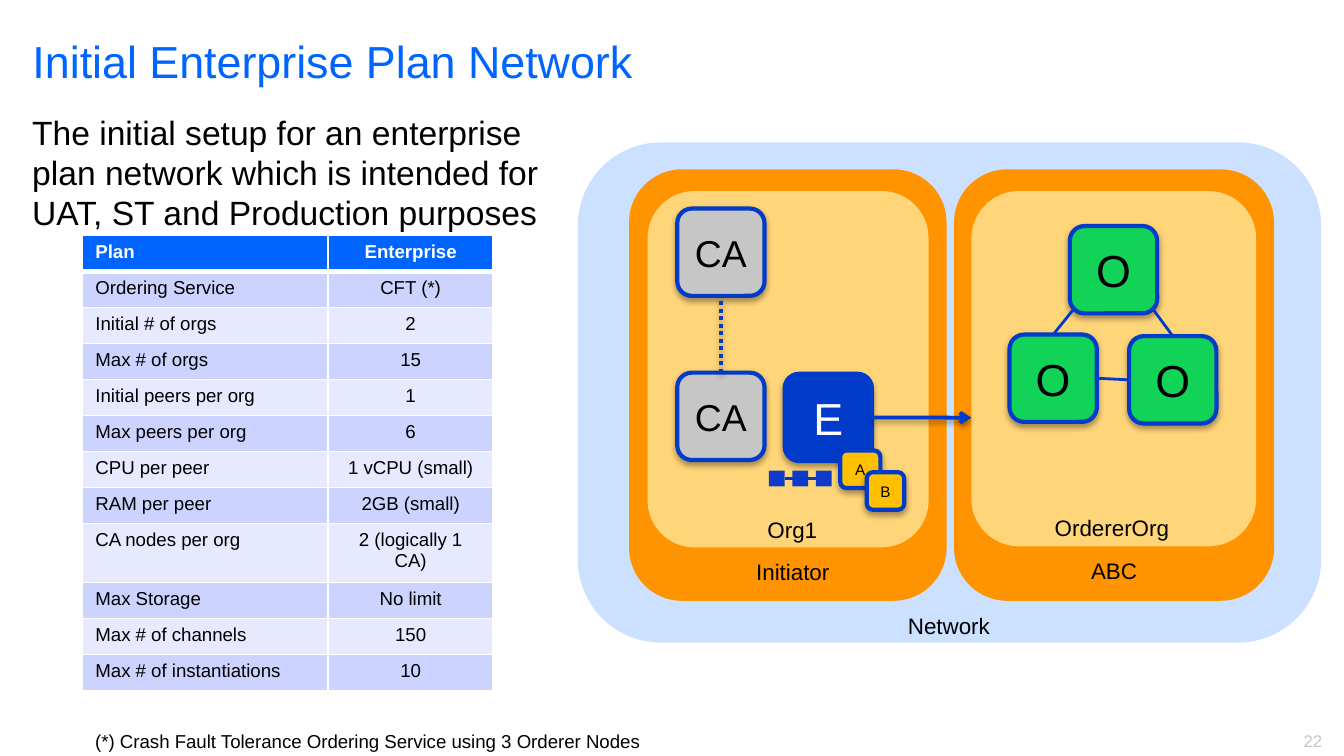
import pptx
import pptx.util
import pptx.dml.color
import pptx.enum.dml
import pptx.enum.shapes
import pptx.enum.text
import pptx.oxml
import lxml.etree

Cm, Pt = pptx.util.Cm, pptx.util.Pt
SHAPE = pptx.enum.shapes.MSO_SHAPE
ALIGN = pptx.enum.text.PP_ALIGN
MIDDLE = pptx.enum.text.MSO_ANCHOR.MIDDLE
STRAIGHT = pptx.enum.shapes.MSO_CONNECTOR.STRAIGHT
DRAWING = "http://schemas.openxmlformats.org/drawingml/2006/main"
BLUE = "003BC9"


def paint(color, value):
    """Set a fill, line or font colour from a hex string."""
    if hasattr(color, "solid"):
        color.solid()
        color = color.fore_color
    color.rgb = pptx.dml.color.RGBColor.from_string(value)


def add_effects(properties, opacity=0, distance=0):
    """Add a soft shadow straight down, or an empty effect list."""
    shadow = (f'<a:outerShdw blurRad="40000" dist="{distance}" dir="5400000" rotWithShape="0">'
              f'<a:srgbClr val="000000"><a:alpha val="{opacity}000"/></a:srgbClr>'
              '</a:outerShdw>') if opacity else ""
    properties.append(pptx.oxml.parse_xml(
        f'<a:effectLst xmlns:a="{DRAWING}">{shadow}</a:effectLst>'))


deck = pptx.Presentation()
deck.slide_width, deck.slide_height = Cm(25.4), Cm(14.28)
page = deck.slides.add_slide(deck.slide_layouts[5])

# Title
title = page.shapes.title
title.left, title.top, title.width, title.height = Cm(0.36), Cm(0.5), Cm(21.59), Cm(1.27)
title.text_frame.text = "Initial Enterprise Plan Network"
title.text_frame.vertical_anchor = MIDDLE
para = title.text_frame.paragraphs[0]
para.alignment = ALIGN.LEFT
para.font.name, para.font.size = "Arial", Pt(24)
paint(para.font.color, "0064FF")

# Network, its members and their organisations
panels = []
for left, top, width, height, color in [
    (10.92, 2.69, 14.05, 9.45, "CCE0FF"),
    (18.03, 3.2, 6.05, 8.15, "FF9300"),
    (11.89, 3.2, 6, 8.15, "FF9300"),
    (12.24, 3.61, 5.31, 6.73, "FFD579"),
    (18.36, 3.61, 5.38, 6.71, "FFD579"),
]:
    panel = page.shapes.add_shape(SHAPE.ROUNDED_RECTANGLE, Cm(left), Cm(top), Cm(width), Cm(height))
    panel.shadow.inherit = False
    paint(panel.fill, color)
    panel.line.fill.background()

# Blockchain ledger
blocks = []
for index in range(3):
    block = page.shapes.add_shape(SHAPE.RECTANGLE, Cm(14.53 + index * 0.445), Cm(8.89), Cm(0.3), Cm(0.3))
    block.shadow.inherit = False
    paint(block.fill, "103AC9")
    block.line.fill.background()
    blocks.append(block)

# Nodes
nodes = {}
for key, label, left, top, width, height, size, color, ink in [
    ("peer", "E", 14.83, 7.06, 1.65, 1.65, 24, BLUE, "FFFFFF"),
    ("contract A", "A", 15.88, 8.51, 0.76, 0.71, 8.2, "FFC000", "000000"),
    ("contract B", "B", 16.38, 8.92, 0.71, 0.71, 8.2, "FFC000", "000000"),
    ("top CA", "CA", 12.8, 3.94, 1.65, 1.65, 20, "C6C6C6", "000000"),
    ("bottom CA", "CA", 12.8, 7.04, 1.65, 1.65, 20, "C6C6C6", "000000"),
    ("left orderer", "O", 19.08, 6.32, 1.65, 1.65, 24, "11D358", "000000"),
    ("top orderer", "O", 20.22, 4.27, 1.65, 1.65, 24, "11D358", "000000"),
    ("right orderer", "O", 21.34, 6.35, 1.65, 1.65, 24, "11D358", "000000"),
]:
    node = page.shapes.add_shape(SHAPE.ROUNDED_RECTANGLE, Cm(left), Cm(top), Cm(width), Cm(height))
    paint(node.fill, color)
    paint(node.line.fill, BLUE)
    node.line.width = Pt(2.25)
    add_effects(node._element.spPr, 35, 23000)
    frame = node.text_frame
    frame.margin_left = frame.margin_right = frame.margin_top = frame.margin_bottom = 0
    frame.vertical_anchor = MIDDLE
    frame.word_wrap = False
    frame.text = label
    para = frame.paragraphs[0]
    para.alignment = ALIGN.CENTER
    para.font.name, para.font.size = "Arial", Pt(size)
    paint(para.font.color, ink)
    nodes[key] = node

# Links: points, joined shapes with their sides, line width, shadow opacity
links = []
for start, end, source, target, width, opacity in [
    ((16.48, 7.89), (18.36, 7.89), (nodes["peer"], 3), None, 2, 38),
    ((13.63, 7.04), (13.63, 5.59), (nodes["bottom CA"], 0), (nodes["top CA"], 2), 2, 38),
    ((14.83, 9.04), (15.42, 9.04), (blocks[0], 3), (blocks[2], 1), 1.5, 0),
    ((20.73, 7.15), (21.34, 7.18), (nodes["left orderer"], 3), (nodes["right orderer"], 1), 1.5, 0),
    ((20.29, 5.84), (19.91, 6.32), None, (nodes["left orderer"], 0), 1.5, 0),
    ((21.79, 5.84), (22.17, 6.35), None, (nodes["right orderer"], 0), 1.5, 0),
]:
    link = page.shapes.add_connector(STRAIGHT, *map(Cm, start + end))
    if source:
        link.begin_connect(*source)
    if target:
        link.end_connect(*target)
    paint(link.line.fill, BLUE)
    link.line.width = Pt(width)
    add_effects(link._element.spPr, opacity, 20000)
    links.append(link)
peer_arrow, ca_link = links[:2]
lxml.etree.SubElement(peer_arrow.line._get_or_add_ln(), f"{{{DRAWING}}}tailEnd", type="arrow")
ca_link.line.dash_style = pptx.enum.dml.MSO_LINE.ROUND_DOT

# Plan table
rows = [
    ("Plan", "Enterprise"),
    ("Ordering Service", "CFT (*)"),
    ("Initial # of orgs", "2"),
    ("Max # of orgs", "15"),
    ("Initial peers per org", "1"),
    ("Max peers per org", "6"),
    ("CPU per peer", "1 vCPU (small)"),
    ("RAM per peer", "2GB (small)"),
    ("CA nodes per org", "2 (logically 1 CA)"),
    ("Max Storage", "No limit"),
    ("Max # of channels", "150"),
    ("Max # of instantiations", "10"),
]
table = page.shapes.add_table(len(rows), 2, Cm(1.55), Cm(4.45), Cm(7.77), Cm(8.59)).table
table.columns[0].width, table.columns[1].width = Cm(4.65), Cm(3.12)
for row_index, row in enumerate(rows):
    table.rows[row_index].height = Cm(1.11 if row[0] == "CA nodes per org" else 0.68)
    header = row_index == 0
    for column_index, words in enumerate(row):
        cell = table.cell(row_index, column_index)
        cell.margin_top = cell.margin_bottom = Cm(0.12)
        cell.text = words
        para = cell.text_frame.paragraphs[0]
        para.alignment = ALIGN.CENTER if column_index else ALIGN.LEFT
        para.font.name, para.font.size, para.font.bold = "Arial", Pt(10), header
        paint(para.font.color, "FFFFFF" if header else "000000")
        properties = cell._tc.get_or_add_tcPr()
        for side in ("lnL", "lnR", "lnT", "lnB"):
            thick = (header and side == "lnB") or (row_index == 1 and side == "lnT")
            properties.append(pptx.oxml.parse_xml(
                f'<a:{side} xmlns:a="{DRAWING}" w="{Pt(3 if thick else 1)}">'
                f'<a:solidFill><a:srgbClr val="FFFFFF"/></a:solidFill></a:{side}>'))
        paint(cell.fill, "0064FF" if header else "CCD3FF" if row_index % 2 else "E7EAFF")

# Labels, introduction, footnote and page number
for words, left, top, width, height, size, align, color in [
    ("Org1", 12.88, 9.63, 4.19, 0.76, 12, ALIGN.CENTER, "000000"),
    ("OrdererOrg", 18.92, 9.58, 4.19, 0.76, 12, ALIGN.CENTER, "000000"),
    ("Initiator", 11.86, 10.41, 6.25, 0.76, 12, ALIGN.CENTER, "000000"),
    ("ABC", 17.93, 10.39, 6.25, 0.76, 12, ALIGN.CENTER, "000000"),
    ("Network", 14.81, 11.43, 6.25, 0.76, 12, ALIGN.CENTER, "000000"),
    ("The initial setup for an enterprise plan network which is intended for "
     "UAT, ST and Production purposes", 0.36, 1.98, 10.64, 2.57, 18, ALIGN.LEFT, "000000"),
    ("(*) Crash Fault Tolerance Ordering Service using 3 Orderer Nodes",
     1.55, 13.67, 20.75, 0.69, 10, ALIGN.LEFT, "000000"),
    ("22", 23.77, 13.67, 1.47, 0.64, 9, ALIGN.RIGHT, "C6C6C6"),
]:
    box = page.shapes.add_textbox(Cm(left), Cm(top), Cm(width), Cm(height))
    box.text_frame.word_wrap = True
    box.text_frame.text = words
    para = box.text_frame.paragraphs[0]
    para.alignment = align
    para.font.name, para.font.size = "Arial", Pt(size)
    paint(para.font.color, color)

deck.save("out.pptx")
